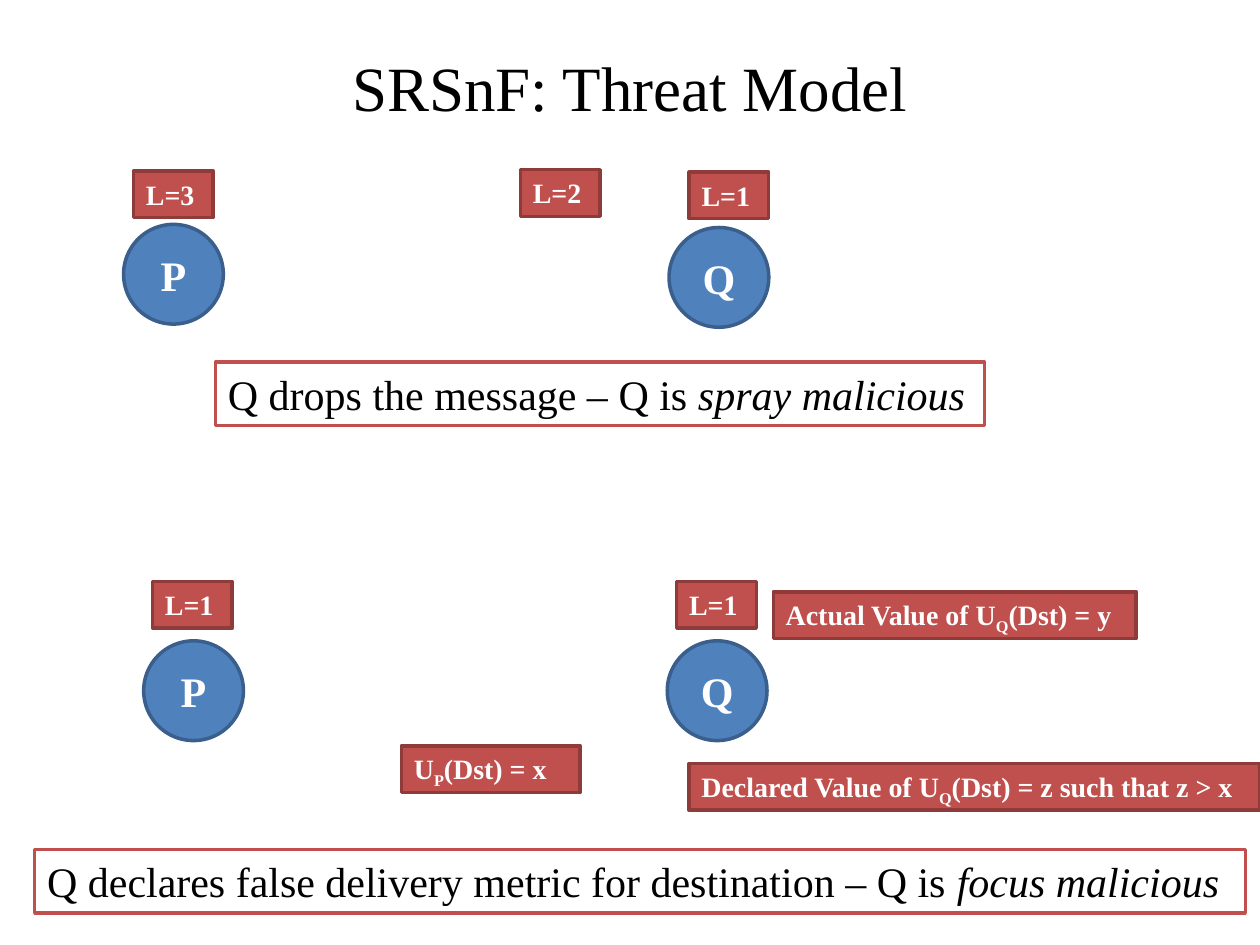
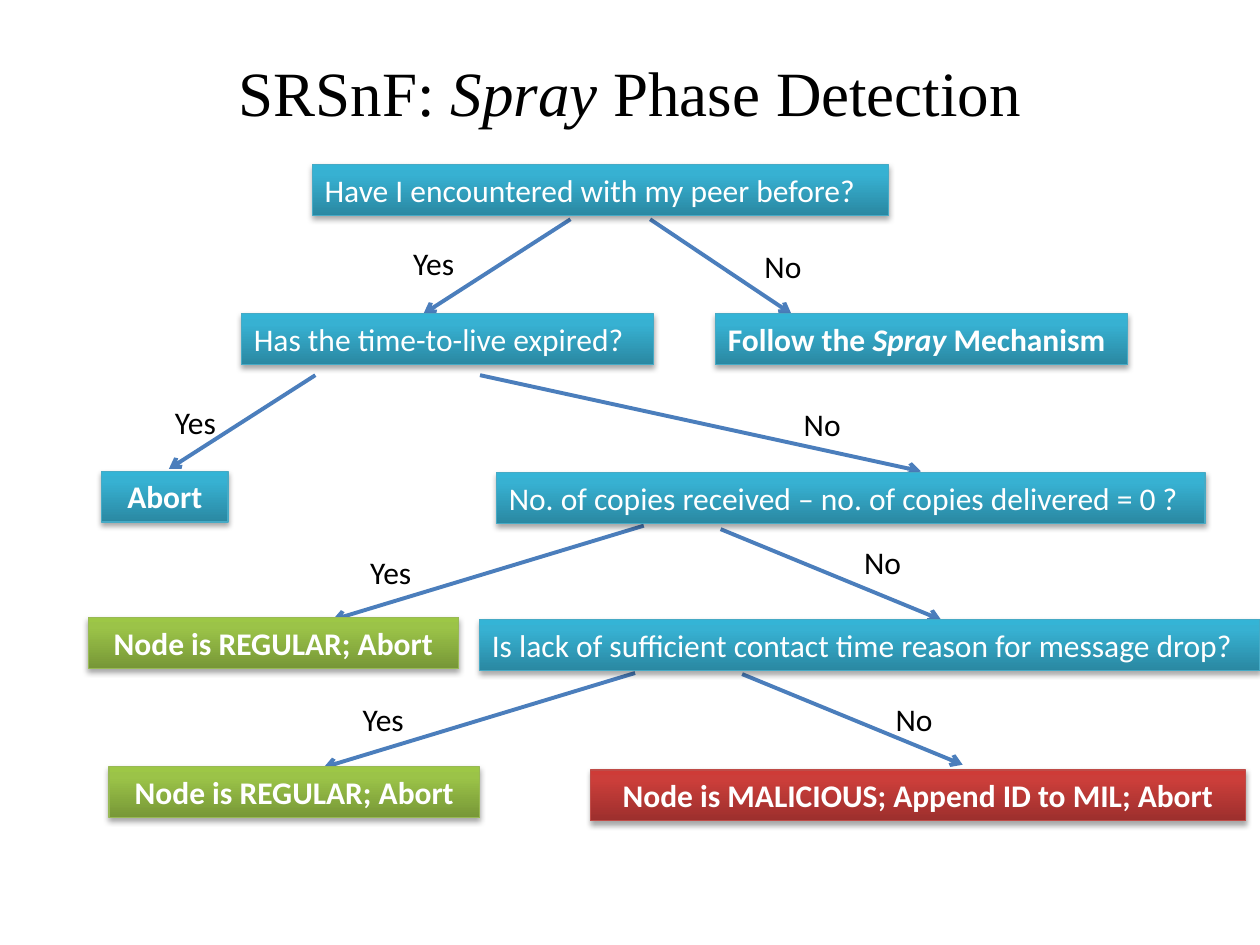
"""Build two slides: a threat model and the decision tree of spray phase detection."""
import copy

import lxml.etree
import pptx
import pptx.dml.color
import pptx.enum.dml
import pptx.enum.shapes
import pptx.enum.text
import pptx.oxml.ns
import pptx.util

Pt = pptx.util.Pt
qn = pptx.oxml.ns.qn
SHAPE = pptx.enum.shapes.MSO_SHAPE
ALIGN = pptx.enum.text.PP_ALIGN
ANCHOR = pptx.enum.text.MSO_ANCHOR
AUTO = pptx.enum.text.MSO_AUTO_SIZE

SERIF, SANS = "Times New Roman", "Calibri"
COLORS = {
    "black": "000000", "white": "FFFFFF", "node": "4F81BD", "node_line": "3A5F8C",
    "badge": "C0504D", "badge_line": "8E3B39", "arrow": "4B7EBC",
    "teal_line": "46AAC5", "green_line": "98B955", "red_line": "BF4C48",
}
GRADIENTS = {
    "teal": ("2A88A2", "37B1D2", "34B4D6"),
    "green": ("779737", "9BC348", "9DC746"),
    "red": ("9C2F2D", "CB3E3A", "CE3B37"),
}
STOPS = (0, 0.8, 1)
NODE_SIZE, BADGE_H, CLAIM_H, STEP_H = 57, 26.64, 36.36, 29.08
LABEL_W = 45.36


def rgb(name):
    return pptx.dml.color.RGBColor.from_string(COLORS[name])


def write(sp, runs, size, font, color="white", bold=False, center=False, accent="italic", grow=True):
    tf = sp.text_frame
    tf.word_wrap = True
    tf.auto_size = AUTO.SHAPE_TO_FIT_TEXT if grow else AUTO.NONE
    tf.vertical_anchor = ANCHOR.TOP if grow else ANCHOR.MIDDLE
    p = tf.paragraphs[0]
    p.alignment = ALIGN.CENTER if center else ALIGN.LEFT
    for i, text in enumerate(runs):
        r = p.add_run()
        r.text = text
        r.font.size, r.font.name, r.font.bold = Pt(size), font, bold
        r.font.color.rgb = rgb(color)
        if i % 2 and accent == "italic":
            r.font.italic = True
        elif i % 2:
            r._r.get_or_add_rPr().set("baseline", "-25000")


def add_box(s, kind, x, y, w, h, line, weight, fill=None):
    sp = s.shapes.add_shape(kind, Pt(x), Pt(y), Pt(w), Pt(h))
    sp.shadow.inherit = False
    sp.line.color.rgb = rgb(line)
    sp.line.width = Pt(weight)
    if fill:
        sp.fill.solid()
        sp.fill.fore_color.rgb = rgb(fill)
    return sp


def add_text(s, runs, x, y, w, h, size, font, **style):
    sp = s.shapes.add_textbox(Pt(x), Pt(y), Pt(w), Pt(h))
    write(sp, runs, size, font, "black", **style)


def add_title(s, runs, h):
    add_text(s, runs, 36, 21.6, 648, h, 36, SERIF, center=True, grow=False)


def add_node(s, name, x, y):
    sp = add_box(s, SHAPE.OVAL, x, y, NODE_SIZE, NODE_SIZE, "node_line", 2, "node")
    write(sp, [name], 24, SERIF, bold=True, center=True, grow=False)


def add_badge(s, runs, x, y, w=45.5):
    sp = add_box(s, SHAPE.RECTANGLE, x, y, w, BADGE_H, "badge_line", 2, "badge")
    write(sp, runs, 16, SERIF, bold=True, accent="subscript")


def add_claim(s, runs, x, y, w):
    sp = add_box(s, SHAPE.RECTANGLE, x, y, w, CLAIM_H, "badge", 2, "white")
    write(sp, runs, 24, SERIF, "black")


def fill_gradient(sp, colors):
    sp.fill.gradient()
    sp.fill.gradient_angle = 90
    stops = sp._element.spPr.find(".//" + qn("a:gsLst"))
    stops.append(copy.deepcopy(stops[-1]))
    for stop, color, position in zip(sp.fill.gradient_stops, colors, STOPS):
        stop.color.rgb = pptx.dml.color.RGBColor.from_string(color)
        stop.position = position


def cast_shadow(sp):
    effects = sp._element.spPr.find(qn("a:effectLst"))
    shadow = lxml.etree.SubElement(
        effects, qn("a:outerShdw"), blurRad="40000", dist="23000", dir="5400000", rotWithShape="0")
    color = lxml.etree.SubElement(shadow, qn("a:srgbClr"), val=COLORS["black"])
    lxml.etree.SubElement(color, qn("a:alpha"), val="35000")


def add_step(s, runs, x, y, w, hue="teal", bold=False, center=False):
    sp = add_box(s, SHAPE.RECTANGLE, x, y, w, STEP_H, hue + "_line", 0.75)
    fill_gradient(sp, GRADIENTS[hue])
    cast_shadow(sp)
    write(sp, runs, 18, SANS, bold=bold, center=center)


def add_branch(s, answer, start, end, label):
    c = s.shapes.add_connector(
        pptx.enum.shapes.MSO_CONNECTOR.STRAIGHT, *[Pt(v) for v in start + end])
    c.line.color.rgb = rgb("arrow")
    c.line.width = Pt(2.25)
    lxml.etree.SubElement(c.line._get_or_add_ln(), qn("a:tailEnd"), type="arrow")
    lxml.etree.SubElement(c._element.spPr, qn("a:effectLst"))
    add_text(s, [answer], *label, LABEL_W, STEP_H, 18, SANS)


def build_threat_model(s):
    add_title(s, ["SRSnF: Threat Model"], 55.4)
    for name, x, y in (("P", 70.6, 128.2), ("Q", 382.3, 130), ("P", 82.1, 366.2), ("Q", 381.3, 366.2)):
        add_node(s, name, x, y)
    for level, x, y in ((3, 76.3, 97.7), (2, 297.4, 97), (1, 393.8, 98.4), (1, 87.2, 332.4), (1, 386.7, 332.4)):
        add_badge(s, [f"L={level}"], x, y)
    add_badge(s, ["U", "P", "(Dst) = x"], 229.4, 426.2, 102.2)
    add_badge(s, ["Actual Value of U", "Q", "(Dst) = y"], 441.9, 338.2, 207.4)
    add_badge(s, ["Declared Value of U", "Q", "(Dst) = z such that z > x"], 393.8, 436.4, 326.2)
    add_claim(s, ["Q drops the message – Q is ", "spray malicious"], 123.1, 206.8, 439.5)
    add_claim(s, ["Q declares false delivery metric for destination – Q is ", "focus malicious"],
              19.8, 485.5, 691.8)


def build_detection(s):
    add_title(s, ["SRSnF: ", "Spray ", "Phase Detection"], 61.2)
    branches = (
        ("Yes", (326, 125.3), (242, 179.3), (229, 136)),
        ("No", (371.5, 125.3), (452.2, 179.3), (429.8, 137.6)),
        ("Yes", (180.2, 214.4), (96.5, 268), (92.9, 226.8)),
        ("No", (274.3, 214.4), (526.2, 269.3), (452.2, 228.2)),
        ("Yes", (367.9, 300.4), (190.1, 354.2), (204.5, 312.5)),
        ("No", (411.8, 302.4), (537.8, 354.2), (486.7, 306.9)),
        ("Yes", (362.9, 384.6), (185, 438.5), (200.2, 396.7)),
        ("No", (424.1, 385.2), (550.1, 437), (504.7, 396.7)),
    )
    for branch in branches:
        add_branch(s, *branch)
    questions = (
        ("Have I encountered with my peer before?", 178.4, 94, 329.2),
        ("Has the time-to-live expired?", 138, 179.3, 235.6),
        ("No. of copies received – no. of copies delivered = 0 ?", 283.7, 270, 405),
        ("Is lack of sufficient contact time reason for message drop?", 274, 354, 446),
    )
    for text, x, y, w in questions:
        add_step(s, [text], x, y, w)
    add_step(s, ["Follow the ", "Spray ", "Mechanism"], 408.8, 179.3, 235.6, bold=True)
    outcomes = (
        ("Abort", 58, 269.3, 72.4, "teal"),
        ("Node is REGULAR; Abort", 50.4, 352.8, 211.7, "green"),
        ("Node is REGULAR; Abort", 62.4, 438.2, 211.7, "green"),
        ("Node is MALICIOUS; Append ID to MIL; Abort", 337.4, 440, 374.4, "red"),
    )
    for text, x, y, w, hue in outcomes:
        add_step(s, [text], x, y, w, hue, bold=True, center=True)


def main():
    prs = pptx.Presentation()
    prs.slide_width, prs.slide_height = Pt(720), Pt(540)
    for build in (build_threat_model, build_detection):
        build(prs.slides.add_slide(prs.slide_layouts[6]))
    prs.save("out.pptx")


main()
